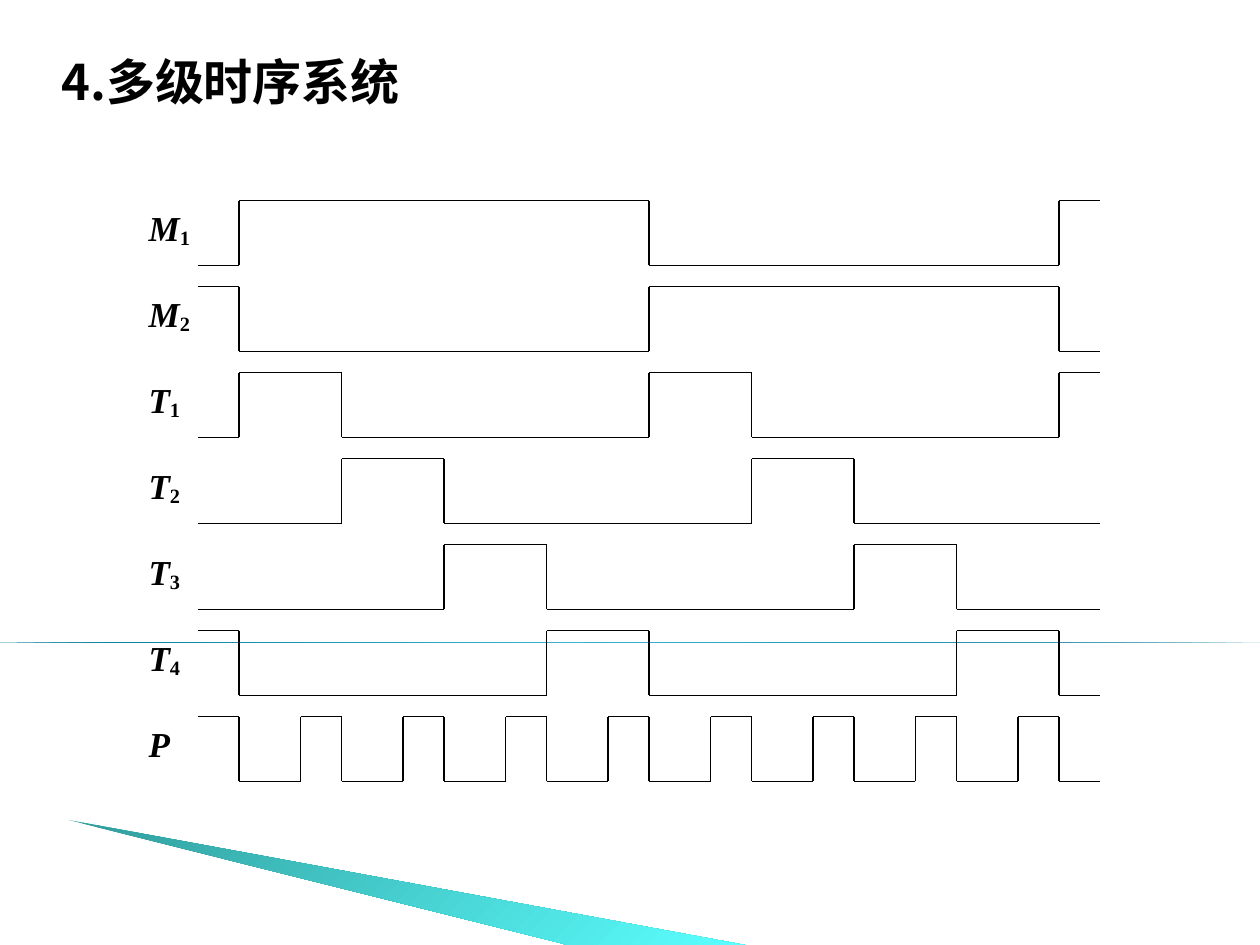
from dataclasses import dataclass
from itertools import pairwise

from lxml import etree
from pptx import Presentation
from pptx.dml.color import RGBColor
from pptx.enum.shapes import MSO_CONNECTOR, MSO_SHAPE
from pptx.enum.text import PP_ALIGN
from pptx.oxml.ns import qn
from pptx.util import Pt

STRAIGHT = MSO_CONNECTOR.STRAIGHT
RIGHT_TRIANGLE = MSO_SHAPE.RIGHT_TRIANGLE
JUSTIFY = PP_ALIGN.JUSTIFY

BLACK = "000000"
TITLE_FONT = "Noto Sans CJK SC"
LABEL_FONT = "Times New Roman"

WAVE_START, CYCLE_START, WAVE_END = 113.1, 136.6, 628.6
SLOT = 58.57
FIRST_TOP, ROW_PITCH, WAVE_HEIGHT = 114.7, 49.14, 36.86
LABEL_LEFT, LABEL_HEIGHT = 77.8, 31.7


@dataclass
class Signal:
    """A square wave that toggles at each edge, counted in slots."""
    letter: str
    index: str
    starts_high: bool
    edges: list[float]
    label_width: float = 70.3


SIGNALS = [
    Signal("M", "1", False, [0, 4, 8], 58.6),
    Signal("M", "2", True, [0, 4, 8], 58.6),
    Signal("T", "1", False, [0, 1, 4, 5, 8]),
    Signal("T", "2", False, [1, 2, 5, 6]),
    Signal("T", "3", False, [2, 3, 6, 7]),
    Signal("T", "4", True, [0, 3, 4, 7, 8]),
    Signal("P", "", True, [0] + [n + part for n in range(8) for part in (0.6, 1)]),
]


def color(hex_value: str) -> RGBColor:
    return RGBColor.from_string(hex_value)


def fill_gradient(shape, stops: list[tuple[int, str]], angle: float) -> None:
    """Fill with (percent, colour) stops, the angle running clockwise."""
    shape.shadow.inherit = False
    shape.line.fill.background()
    shape.fill.gradient()
    shape.fill.gradient_angle = 360 - angle
    stop_list = next(shape._element.spPr.iter(qn("a:gsLst")))
    for old_stop in list(stop_list):
        stop_list.remove(old_stop)
    for percent, hex_value in stops:
        stop = etree.SubElement(stop_list, qn("a:gs"), pos=str(percent * 1000))
        etree.SubElement(stop, qn("a:srgbClr"), val=hex_value)


def add_run(paragraph, text: str, font_name: str, size: float, italic: bool = False):
    run = paragraph.add_run()
    run.text = text
    font = run.font
    font.name, font.size = font_name, Pt(size)
    font.bold, font.italic = True, italic
    font.color.rgb = color(BLACK)
    return run


def add_decoration(slide) -> None:
    rule = slide.shapes.add_shape(RIGHT_TRIANGLE, Pt(0), Pt(367), Pt(720), Pt(0))
    fill_gradient(rule, [(0, "007897"), (50, "4ABBE0"), (100, "007897")], 50)

    tip, *base = [(Pt(x), Pt(y)) for x, y in ((39.4, 468.6), (425.7, 540), (324.6, 540))]
    outline = slide.shapes.build_freeform(*tip)
    outline.add_line_segments(base, close=True)
    fill_gradient(outline.convert_to_shape(), [(0, "319C9C"), (100, "5BFFFF")], 45)


def add_title(slide) -> None:
    box = slide.shapes.add_textbox(Pt(19.4), Pt(25.9), Pt(700.6), Pt(266.4))
    box.text_frame.word_wrap = True
    paragraph = box.text_frame.paragraphs[0]
    paragraph.alignment = JUSTIFY
    properties = paragraph._p.get_or_add_pPr()
    properties.set("marL", str(Pt(28.8)))
    properties.set("indent", str(Pt(-20.2)))
    run = add_run(paragraph, "4.多级时序系统", TITLE_FONT, 28)
    etree.SubElement(run._r.get_or_add_rPr(), qn("a:ea"), typeface=TITLE_FONT)


def add_label(slide, signal: Signal, top: float) -> None:
    box = slide.shapes.add_textbox(
        Pt(LABEL_LEFT), Pt(top), Pt(signal.label_width), Pt(LABEL_HEIGHT))
    box.text_frame.word_wrap = True
    paragraph = box.text_frame.paragraphs[0]
    add_run(paragraph, signal.letter, LABEL_FONT, 20, italic=True)
    if signal.index:
        subscript = add_run(paragraph, signal.index, LABEL_FONT, 20)
        subscript._r.get_or_add_rPr().set("baseline", "-10000")


def wave_points(signal: Signal, top: float) -> list[tuple[float, float]]:
    level, other = top, top + WAVE_HEIGHT
    if not signal.starts_high:
        level, other = other, level
    points = [(WAVE_START, level)]
    for edge in signal.edges:
        x = CYCLE_START + edge * SLOT
        points += [(x, level), (x, other)]
        level, other = other, level
    return points + [(WAVE_END, level)]


def add_wave(slide, signal: Signal, top: float) -> None:
    for (x1, y1), (x2, y2) in pairwise(wave_points(signal, top)):
        segment = slide.shapes.add_connector(STRAIGHT, Pt(x1), Pt(y1), Pt(x2), Pt(y2))
        segment.line.color.rgb = color(BLACK)
        segment.line.width = Pt(0.75)
        etree.SubElement(segment._element.spPr, qn("a:effectLst"))


def main() -> None:
    presentation = Presentation()
    presentation.slide_width, presentation.slide_height = Pt(720), Pt(540)
    slide = presentation.slides.add_slide(presentation.slide_layouts[6])
    add_decoration(slide)
    add_title(slide)
    for row, signal in enumerate(SIGNALS):
        top = FIRST_TOP + row * ROW_PITCH
        add_wave(slide, signal, top)
        add_label(slide, signal, top)
    presentation.save("out.pptx")


if __name__ == "__main__":
    main()
